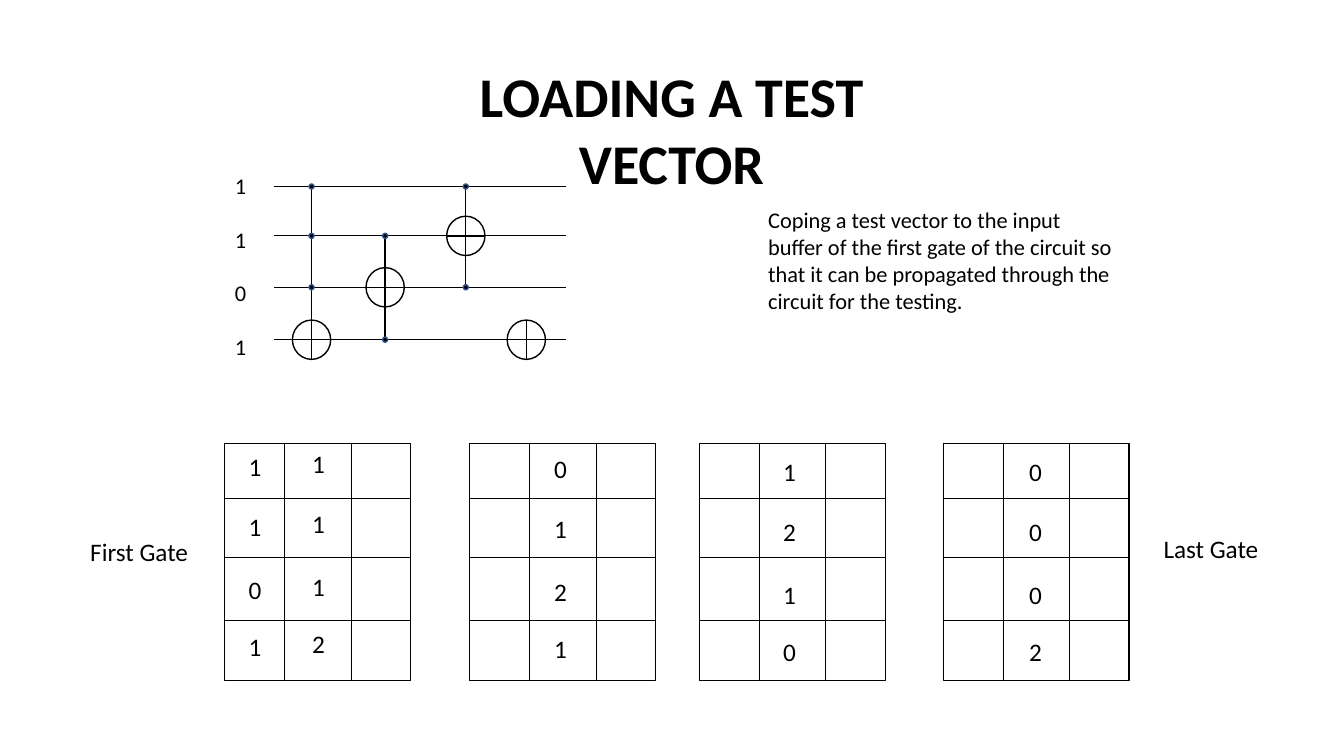
from itertools import accumulate

from lxml import etree
from pptx import Presentation
from pptx.dml.color import RGBColor
from pptx.enum.shapes import MSO_CONNECTOR, MSO_SHAPE
from pptx.enum.text import MSO_AUTO_SIZE, PP_ALIGN
from pptx.oxml.ns import qn
from pptx.util import Inches, Pt

FONT, BLACK, WHITE, DOT_EDGE = "Calibri", "000000", "FFFFFF", "325491"

# text, (left, top, width, height), size, bold, centred
LABELS = [
    ("LOADING A TEST VECTOR", (3.71, 0.56, 5.9, 0.77), 40, True, True),
    ("Coping a test vector to the input buffer of the first gate of the circuit "
     "so that it can be propagated through the circuit for the testing.",
     (7.52, 2, 3.68, 1.18), 16, False, False),
    ("First Gate", (0.69, 5.27, 1.38, 0.4), 18, False, True),
    ("Last Gate", (11.32, 5.24, 1.38, 0.4), 18, False, True),
]

INPUT_BITS = ["1", "1", "0", "1"]
WIRE_LEFT, WIRE_RIGHT = 2.72, 5.61
WIRES = [1.85, 2.34, 2.85, 3.37]
TARGET_SIZE = (0.38, 0.39)
DOT = 0.05
# x, target wire, control wires
GATES = [(3.09, 3, [0, 1, 2]), (3.82, 2, [1, 3]), (4.62, 1, [0, 2]), (5.22, 3, [])]

BUFFER_TOP = 4.4
COLUMNS = [0.59, 0.66, 0.59]
ROWS = [0.54, 0.59, 0.62, 0.6]
DIGIT_TOPS = [0, 0.59, 1.22, 1.78]
DIGIT_SIZE = (0.38, 0.4)
# buffer left, [(digits, left of digits, top of digits)] within the buffer
BUFFERS = [
    (2.23, [("1101", 0.11, 0.03), ("1112", 0.74, 0)]),
    (4.66, [("0121", 0.71, 0.05)]),
    (6.94, [("1210", 0.7, 0.08)]),
    (9.36, [("0002", 0.72, 0.08)]),
]


def color(hex_code):
    """Turn a hex string into a colour."""
    return RGBColor.from_string(hex_code)


def add_text(slide, lines, box, size, bold=False, centred=False, wrap=True, gap=0):
    """Add a text box with one paragraph per line."""
    frame = slide.shapes.add_textbox(*map(Inches, box)).text_frame
    frame.word_wrap = wrap
    frame.auto_size = MSO_AUTO_SIZE.SHAPE_TO_FIT_TEXT
    for i, line in enumerate(lines):
        paragraph = frame.add_paragraph() if i else frame.paragraphs[0]
        paragraph.space_before = Pt(gap if i else 0)
        paragraph.alignment = PP_ALIGN.CENTER if centred else PP_ALIGN.LEFT
        run = paragraph.add_run()
        run.text = line
        run.font.name, run.font.size, run.font.bold = FONT, Pt(size), bold
        run.font.color.rgb = color(BLACK)


def add_line(slide, start, end, width):
    """Draw a straight black line without shadow."""
    line = slide.shapes.add_connector(
        MSO_CONNECTOR.STRAIGHT, *map(Inches, (*start, *end)))
    line.line.color.rgb, line.line.width = color(BLACK), Pt(width)
    etree.SubElement(line._element.spPr, qn("a:effectLst"))


def add_mark(slide, kind, center, size, edge, fill=None):
    """Draw a preset shape centred on a point."""
    (x, y), (width, height) = center, size
    mark = slide.shapes.add_shape(kind, *map(
        Inches, (x - width / 2, y - height / 2, width, height)))
    mark.shadow.inherit = False
    mark.line.color.rgb, mark.line.width = color(edge), Pt(1)
    if fill:
        mark.fill.solid()
        mark.fill.fore_color.rgb = color(fill)
    else:
        mark.fill.background()


def add_circuit(slide):
    """Draw the wires, the gates and the input bits."""
    for y in WIRES:
        add_line(slide, (WIRE_LEFT, y), (WIRE_RIGHT, y), 0.5)
    for x, target, controls in GATES:
        ends = [WIRES[i] for i in [target, *controls]]
        add_mark(slide, MSO_SHAPE.FLOWCHART_OR, (x, WIRES[target]), TARGET_SIZE, BLACK)
        if controls:
            add_line(slide, (x, max(ends)), (x, min(ends)), 1)
        for wire in controls:
            add_mark(slide, MSO_SHAPE.OVAL, (x, WIRES[wire]), (DOT, DOT), DOT_EDGE, BLACK)
    add_text(slide, INPUT_BITS, (2.23, 1.66, 0.32, 1.99), 16, wrap=False, gap=19)


def add_buffer(slide, left, digit_columns):
    """Draw one gate buffer: frame, dividing lines and digits."""
    width, height = sum(COLUMNS), sum(ROWS)
    right, bottom = left + width, BUFFER_TOP + height
    center = (left + width / 2, BUFFER_TOP + height / 2)
    add_mark(slide, MSO_SHAPE.RECTANGLE, center, (width, height), BLACK, WHITE)
    for x in accumulate(COLUMNS[:-1]):
        add_line(slide, (left + x, BUFFER_TOP), (left + x, bottom), 0.5)
    for y in accumulate(ROWS[:-1]):
        add_line(slide, (left, BUFFER_TOP + y), (right, BUFFER_TOP + y), 0.5)
    for digits, digit_left, digit_top in digit_columns:
        for digit, row_top in zip(digits, DIGIT_TOPS):
            box = (left + digit_left, BUFFER_TOP + digit_top + row_top, *DIGIT_SIZE)
            add_text(slide, [digit], box, 18, centred=True)


prs = Presentation()
prs.slide_width, prs.slide_height = Inches(13.33), Inches(7.5)
slide = prs.slides.add_slide(prs.slide_layouts[6])
for text, box, size, bold, centred in LABELS:
    add_text(slide, [text], box, size, bold, centred)
add_circuit(slide)
for left, digit_columns in BUFFERS:
    add_buffer(slide, left, digit_columns)
prs.save("out.pptx")
